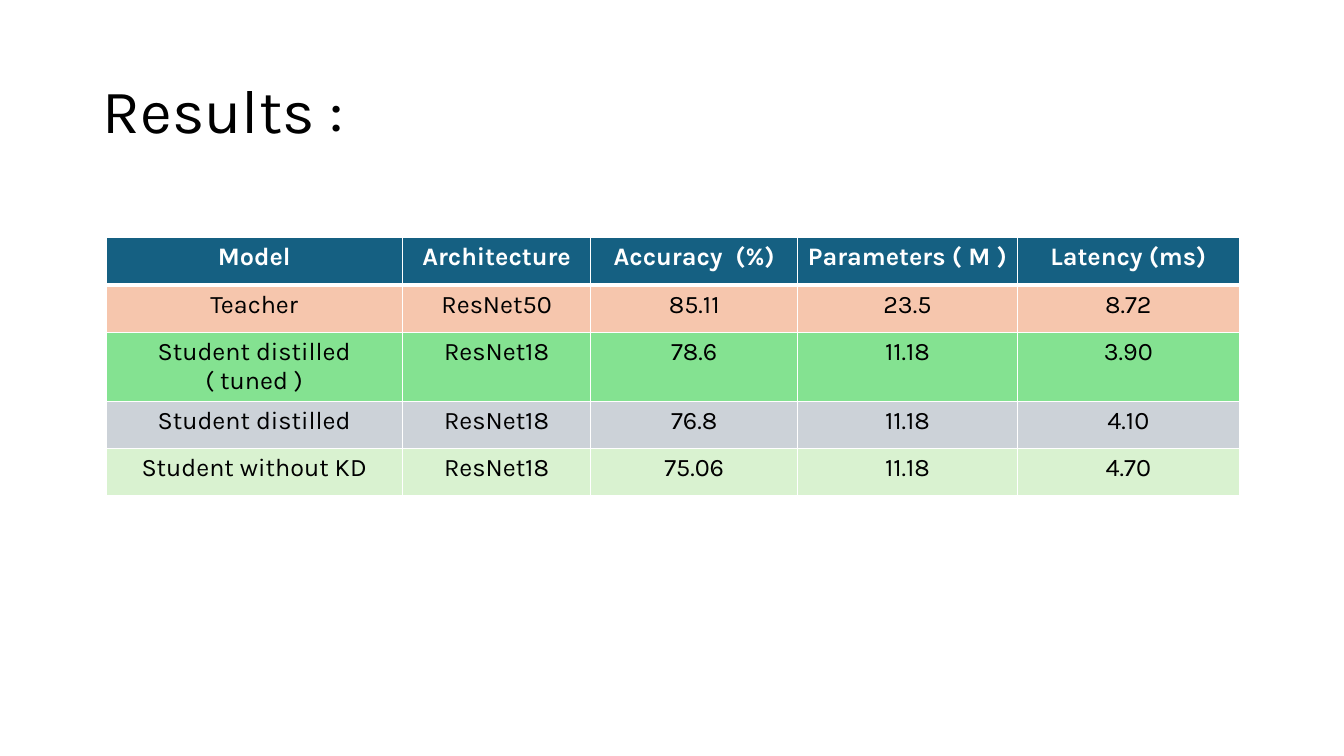
"""Build the results slide comparing teacher and student models."""
from lxml import etree
from pptx import Presentation
from pptx import util as u
from pptx.dml import color
from pptx.enum import text
from pptx.oxml import ns

COLORS = {
    "text": "000000",
    "line": "FFFFFF",
    "header": "156082",
    "teacher": "F6C6AD",
    "tuned": "84E291",
    "distilled": "CCD2D8",
    "baseline": "D9F2D0",
}
ROWS = [
    ("header", 1.19, ["Model", "Architecture", "Accuracy  (%)", "Parameters ( M )", "Latency (ms)"]),
    ("teacher", 1.19, ["Teacher", "ResNet50", "85.11", "23.5", "8.72"]),
    ("tuned", 1.24, ["Student distilled ( tuned )", "ResNet18", "78.6", "11.18", "3.90"]),
    ("distilled", 1.19, ["Student distilled", "ResNet18", "76.8", "11.18", "4.10"]),
    ("baseline", 1.19, ["Student without KD", "ResNet18", "75.06", "11.18", "4.70"]),
]
COLUMN_WIDTHS = [7.47, 4.75, 5.21, 5.54, 5.59]


def format_text(paragraph, color_name, alignment, **font_values):
    paragraph.alignment = alignment
    font = paragraph.runs[0].font
    font.color.rgb = color.RGBColor.from_string(COLORS[color_name])
    for name, value in {"name": "Karla", **font_values}.items():
        setattr(font, name, value)


def add_borders(cell, widths):
    properties = cell._tc.get_or_add_tcPr()
    for side, width in widths.items():
        line = etree.SubElement(properties, ns.qn(f"a:ln{side}"), w=str(u.Pt(width)))
        fill = etree.SubElement(line, ns.qn("a:solidFill"))
        etree.SubElement(fill, ns.qn("a:srgbClr"), val=COLORS["line"])


presentation = Presentation()
presentation.slide_width = u.Cm(33.87)
presentation.slide_height = u.Cm(19.05)
slide = presentation.slides.add_slide(presentation.slide_layouts[5])

title = slide.shapes.title
title_box = {"left": 2.34, "top": 1.02, "width": 29.21, "height": 3.68}
for name, value in title_box.items():
    setattr(title, name, u.Cm(value))
title.text_frame.text = "Results :"
title.text_frame.vertical_anchor = text.MSO_ANCHOR.MIDDLE
title.text_frame.auto_size = text.MSO_AUTO_SIZE.NONE
heading = title.text_frame.paragraphs[0]
heading.line_spacing = 0.9
format_text(heading, "text", text.PP_ALIGN.LEFT, size=u.Pt(44))

table = slide.shapes.add_table(
    len(ROWS), len(COLUMN_WIDTHS), u.Cm(2.67), u.Cm(5.99),
    u.Cm(sum(COLUMN_WIDTHS)), u.Cm(sum(height for _, height, _ in ROWS)),
).table
for column, width in zip(table.columns, COLUMN_WIDTHS):
    column.width = u.Cm(width)

for row_index, (row_name, height, values) in enumerate(ROWS):
    table.rows[row_index].height = u.Cm(height)
    is_header = row_name == "header"
    borders = {"L": 1, "R": 1, "T": 3 if row_index == 1 else 1, "B": 3 if is_header else 1}
    for column_index, value in enumerate(values):
        cell = table.cell(row_index, column_index)
        add_borders(cell, borders)
        cell.fill.solid()
        cell.fill.fore_color.rgb = color.RGBColor.from_string(COLORS[row_name])
        cell.text = value
        format_text(
            cell.text_frame.paragraphs[0], "line" if is_header else "text",
            text.PP_ALIGN.CENTER, size=u.Pt(18), bold=is_header,
        )

presentation.save("out.pptx")
